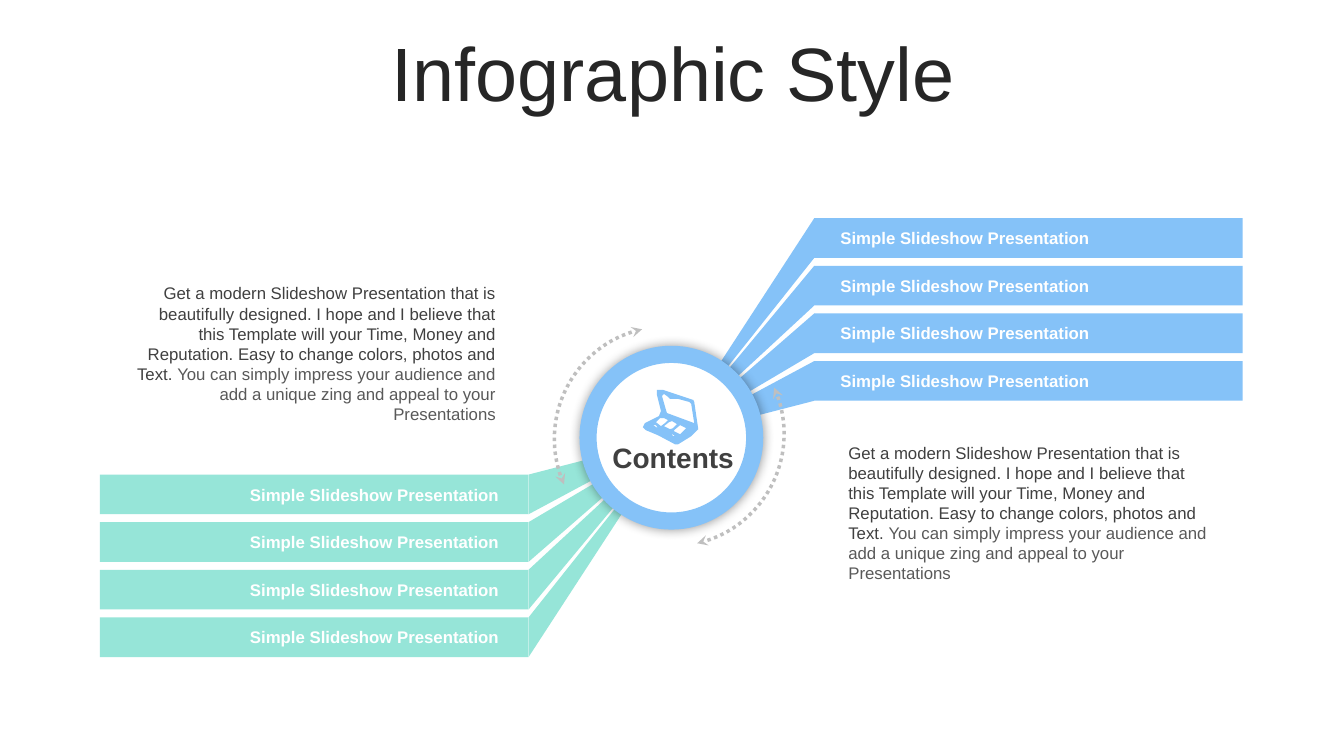
from lxml import etree
from pptx import Presentation
from pptx.dml.color import RGBColor
from pptx.enum.dml import MSO_LINE
from pptx.enum.shapes import MSO_SHAPE
from pptx.enum.text import MSO_ANCHOR, MSO_AUTO_SIZE, PP_ALIGN
from pptx.oxml.ns import qn
from pptx.util import Cm, Pt

RECT, OVAL, ARC = MSO_SHAPE.RECTANGLE, MSO_SHAPE.OVAL, MSO_SHAPE.ARC
LEFT, CENTER, RIGHT = PP_ALIGN.LEFT, PP_ALIGN.CENTER, PP_ALIGN.RIGHT
MIDDLE, NO_FIT = MSO_ANCHOR.MIDDLE, MSO_AUTO_SIZE.NONE
DOTS = MSO_LINE.ROUND_DOT

COLORS = {"blue": "85C2F8", "mint": "96E5D8", "white": "FFFFFF", "title": "262626",
          "dark": "404040", "mid": "595959", "grey": "BFBFBF"}
RGB = {name: RGBColor.from_string(value) for name, value in COLORS.items()}

LABEL = "Simple Slideshow Presentation"
BODY = [("Get a modern Slideshow Presentation that is beautifully designed. "
         "I hope and I believe that this Template will your Time, Money and Reputation. "
         "Easy to change colors, photos and Text. ", "dark"),
        ("You can simply impress your audience and add a unique zing "
         "and appeal to your Presentations", "mid")]

CX, CY = 16.92, 11.03
BAR_W, BAR_H, PITCH, REACH = 10.8, 1, 1.2, 3.6
FIRST_TOP = 5.5
RADIUS = 2.1

ICON = [
    [(55, 40), (48, 47), (35, 55), (32, 55), (15, 46), (3, 41), (0, 38), (2, 34), (16, 27),
     (18, 22), (14, 6), (14, 1), (20, 1), (50, 11), (51, 13)],
    [(51, 34), (48, 15), (46, 13), (35, 10), (33, 10), (27, 10), (25, 8), (21, 5), (19, 7),
     (23, 21), (24, 24)],
    [(37, 36), (31, 41), (31, 42), (37, 45), (43, 39)],
    [(21, 37), (27, 40), (30, 39), (34, 35), (29, 32), (26, 33)],
    [(13, 33), (18, 37), (22, 34), (25, 31), (21, 29), (17, 29)],
    [(28, 44), (30, 47), (32, 47)],
    [(15, 39), (13, 36), (10, 36)],
]


def paint(sp, color):
    sp.shadow.inherit = False
    sp.fill.solid()
    sp.fill.fore_color.rgb = RGB[color]
    sp.line.fill.background()


def write(tf, runs, align, size, bold=False):
    tf.word_wrap = True
    p = tf.paragraphs[0]
    p.alignment = align
    for text, color in runs:
        r = p.add_run()
        r.text = text
        for key, value in {"name": "Arial", "size": Pt(size), "bold": bold}.items():
            setattr(r.font, key, value)
        r.font.color.rgb = RGB[color]


prs = Presentation()
prs.slide_width, prs.slide_height = Cm(33.87), Cm(19.05)
s = prs.slides.add_slide(prs.slide_layouts[5])
shapes = s.shapes

title = shapes.title
box = {"left": 0.89, "top": 0.94, "width": 32.16, "height": 2}
for key, value in box.items():
    setattr(title, key, Cm(value))
tf = title.text_frame
tf.auto_size = NO_FIT
tf.vertical_anchor = MIDDLE
write(tf, [("Infographic Style", "title")], CENTER, 54)
tf.paragraphs[0].line_spacing = 0.9

for side, color in ((1, "blue"), (-1, "mint")):
    edge = CX + side * REACH
    for i in range(4):
        near = CY + side * (FIRST_TOP + i * PITCH - CY)
        far = near + side * BAR_H
        sp = shapes.add_shape(RECT, Cm(min(edge, edge + side * BAR_W)), Cm(min(near, far)),
                              Cm(BAR_W), Cm(BAR_H))
        paint(sp, color)
        wedge = shapes.build_freeform(Cm(edge), Cm(near))
        wedge.add_line_segments([(Cm(CX), Cm(CY)), (Cm(edge), Cm(far))])
        paint(wedge.convert_to_shape(), color)

ring = shapes.add_shape(OVAL, Cm(CX - RADIUS), Cm(CY - RADIUS), Cm(2 * RADIUS), Cm(2 * RADIUS))
paint(ring, "white")
ring.line.color.rgb = RGB["blue"]
ring.line.width = Pt(12.25)
effects = ring._element.spPr.find(qn("a:effectLst"))
glow = etree.SubElement(effects, qn("a:outerShdw"), blurRad=str(Pt(8)), dist="0", dir="0",
                        algn="ctr", rotWithShape="0")
black = etree.SubElement(glow, qn("a:srgbClr"), val="000000")
etree.SubElement(black, qn("a:alpha"), val="40000")

for x, first, width in ((20.93, FIRST_TOP, 7.6), (6.05, 11.96, 7.2)):
    for i in range(4):
        sp = shapes.add_textbox(Cm(x), Cm(first + i * PITCH + 0.12), Cm(width), Cm(0.76))
        write(sp.text_frame, [(LABEL, "white")], LEFT, 12, True)

for x, y, angle in ((14.1, 8.1, 224.1), (13.97, 8.23, 44.5)):
    arc = shapes.add_shape(ARC, Cm(x), Cm(y), Cm(5.66), Cm(5.66))
    arc.adjustments[0], arc.adjustments[1] = 66.94, 127.7
    arc.rotation = angle
    arc.shadow.inherit = False
    arc.fill.background()
    arc.line.color.rgb = RGB["grey"]
    arc.line.width = Pt(2.5)
    arc.line.dash_style = DOTS
    ln = arc._element.spPr.find(qn("a:ln"))
    for end in ("a:headEnd", "a:tailEnd"):
        etree.SubElement(ln, qn(end), type="stealth")

for x, y, w, h, runs, align, size, bold in (
        (15.06, 10.97, 3.81, 1.12, [("Contents", "dark")], CENTER, 20, True),
        (21.13, 11.02, 9.7, 3.83, BODY, LEFT, 12, False),
        (3.05, 7.01, 9.7, 3.83, BODY, RIGHT, 12, False)):
    sp = shapes.add_textbox(Cm(x), Cm(y), Cm(w), Cm(h))
    write(sp.text_frame, runs, align, size, bold)

laptop = shapes.build_freeform(*ICON[0][0], scale=Cm(0.0254))
laptop.add_line_segments(ICON[0][1:])
for hole in ICON[1:]:
    laptop.move_to(*hole[0])
    laptop.add_line_segments(hole[1:])
paint(laptop.convert_to_shape(Cm(16.2), Cm(9.8)), "blue")

prs.save("out.pptx")
